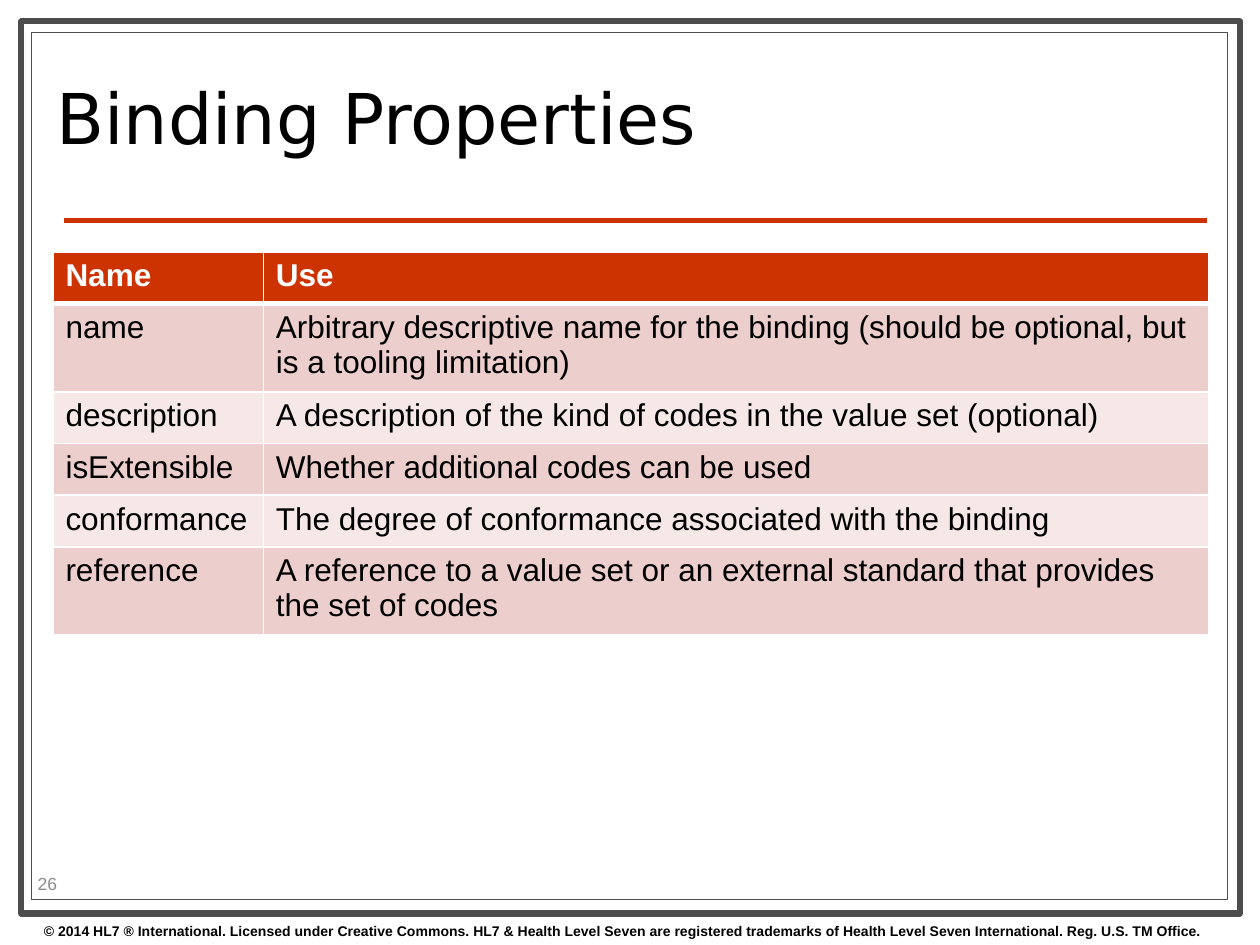
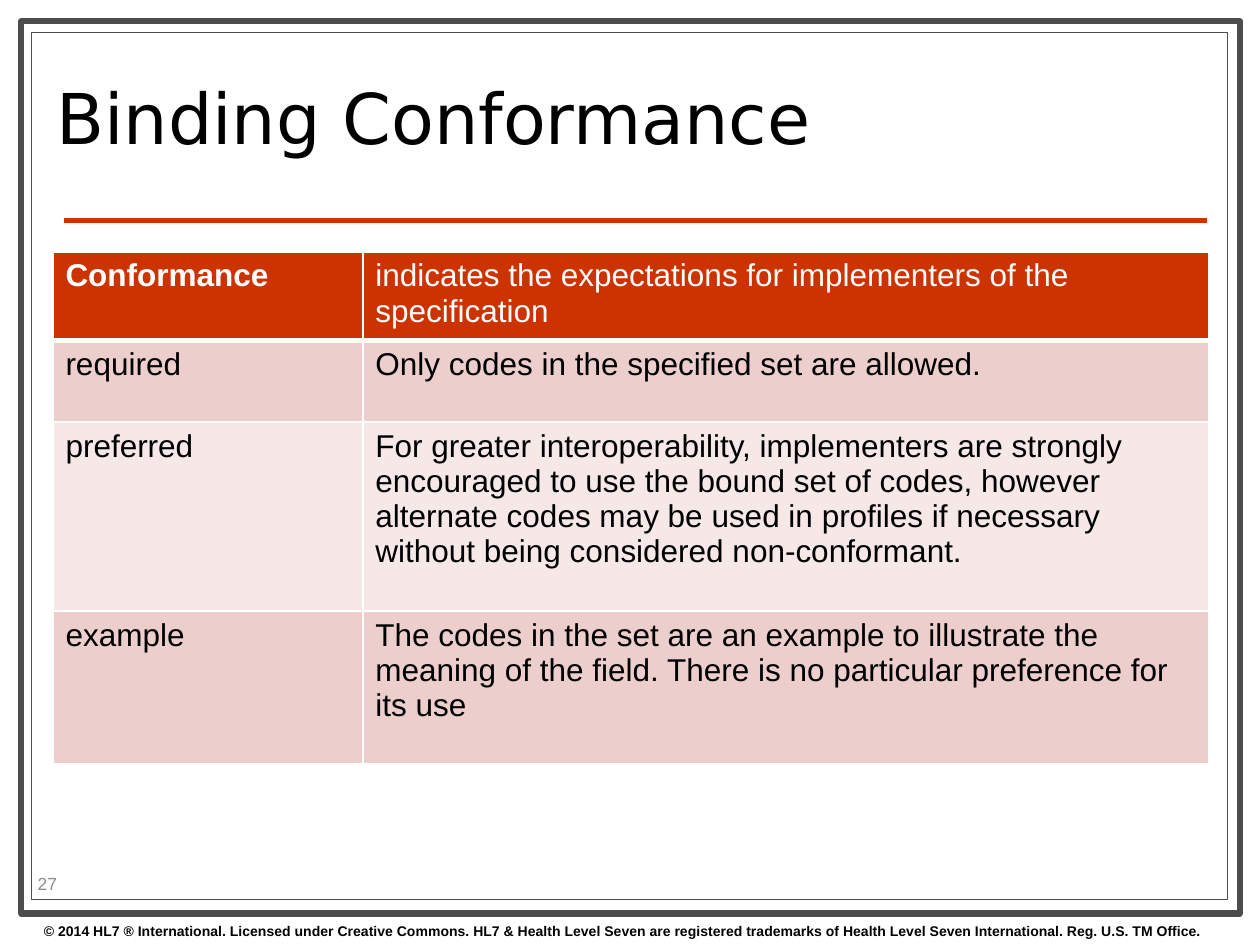
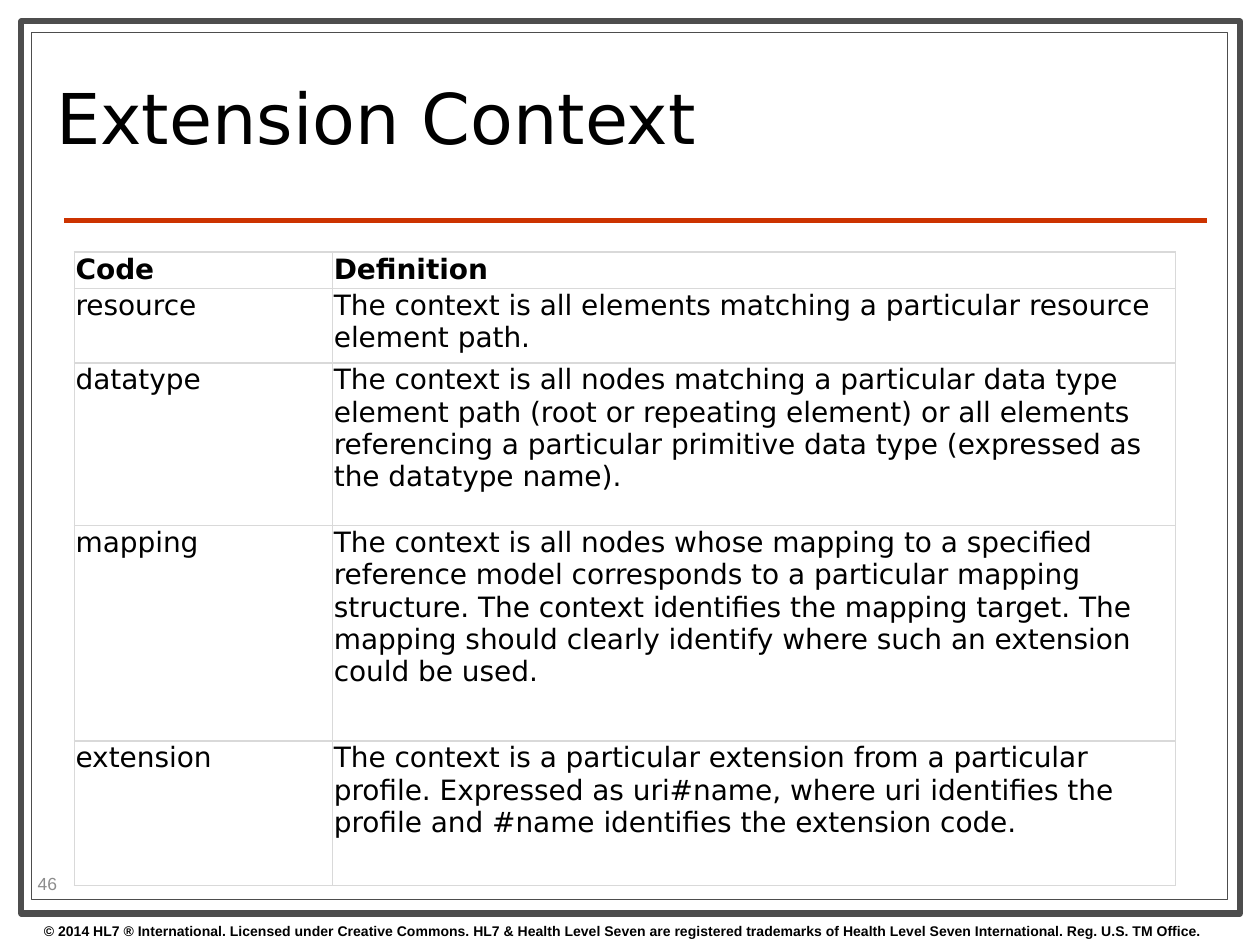
from lxml import etree
from pptx import Presentation
from pptx.dml.color import RGBColor
from pptx.enum.shapes import MSO_CONNECTOR, MSO_SHAPE
from pptx.enum.text import MSO_ANCHOR
from pptx.oxml.ns import qn
from pptx.util import Inches, Pt

RECTANGLE = MSO_SHAPE.RECTANGLE
STRAIGHT = MSO_CONNECTOR.STRAIGHT
TOP = MSO_ANCHOR.TOP
MIDDLE = MSO_ANCHOR.MIDDLE

COLOURS = {
    "white": "FFFFFF",
    "black": "000000",
    "frame": "4D4D4D",
    "accent": "CC3300",
    "band_dark": "ECCECC",
    "band_light": "F6E8E7",
    "grid": "D9D9D9",
    "page_number": "8C8C8C",
}
BODY_FONT = "Arial"
TITLE_FONT = "DejaVu Sans"
COPYRIGHT = (
    "© 2014 HL7 ® International. Licensed under Creative Commons. "
    "HL7 & Health Level Seven are registered trademarks of "
    "Health Level Seven International. Reg. U.S. TM Office."
)
FRAMES = [
    ((0.17, 0.17, 9.67, 7.08), 3.5),
    ((0.25, 0.26, 9.49, 6.88), 0.75),
]

BANDED = {
    "header_fill": "accent", "header_colour": "white",
    "bands": ["band_dark", "band_light"],
    "border": "white", "header_rule": 3,
    "font": BODY_FONT, "size": 18, "margins": (0.1, 0.05),
}
GRID = {
    "header_fill": "white", "header_colour": "black",
    "bands": ["white"],
    "border": "grid", "header_rule": 1,
    "font": TITLE_FONT, "size": 16, "margins": (0.01, 0.01),
}

SLIDES = [
    {
        "title": "Binding Properties", "number": "26", "style": BANDED,
        "left": 0.42, "columns": [1.67, 7.5],
        "heights": [0.41, 0.65, 0.41, 0.41, 0.41, 0.65],
        "bold_headers": [True, True],
        "rows": [
            ("Name", "Use"),
            ("name", "Arbitrary descriptive name for the binding (should be "
             "optional, but is a tooling limitation)"),
            ("description", "A description of the kind of codes in the value set (optional)"),
            ("isExtensible", "Whether additional codes can be used"),
            ("conformance", "The degree of conformance associated with the binding"),
            ("reference", "A reference to a value set or an external standard that "
             "provides the set of codes"),
        ],
    },
    {
        "title": "Binding Conformance", "number": "27", "style": BANDED,
        "left": 0.42, "columns": [2.46, 6.71],
        "heights": [0.66, 0.65, 1.5, 1.21],
        "bold_headers": [True, False],
        "rows": [
            ("Conformance", "indicates the expectations for implementers of the specification"),
            ("required", "Only codes in the specified set are allowed."),
            ("preferred", "For greater interoperability, implementers are strongly "
             "encouraged to use the bound set of codes, however alternate codes may "
             "be used in profiles if necessary without being considered non-conformant."),
            ("example", "The codes in the set are an example to illustrate the meaning "
             "of the field. There is no particular preference for its use"),
        ],
    },
    {
        "title": "Extension Context", "number": "46", "style": GRID,
        "left": 0.59, "columns": [2.05, 6.69],
        "heights": [0.29, 0.59, 1.29, 1.71, 1.15],
        "bold_headers": [True, True],
        "rows": [
            ("Code", "Definition"),
            ("resource", "The context is all elements matching a particular resource "
             "element path."),
            ("datatype", "The context is all nodes matching a particular data type "
             "element path (root or repeating element) or all elements referencing a "
             "particular primitive data type (expressed as the datatype name)."),
            ("mapping", "The context is all nodes whose mapping to a specified reference "
             "model corresponds to a particular mapping structure. The context identifies "
             "the mapping target. The mapping should clearly identify where such an "
             "extension could be used."),
            ("extension", "The context is a particular extension from a particular "
             "profile. Expressed as uri#name, where uri identifies the profile and #name "
             "identifies the extension code."),
        ],
    },
]


def write(text_frame, text, font, size, colour, bold=False):
    """Put one formatted run in the first paragraph and return the paragraph."""
    text_frame.word_wrap = True
    paragraph = text_frame.paragraphs[0]
    run = paragraph.add_run()
    run.text = text
    run.font.name = font
    run.font.size = Pt(size)
    run.font.bold = bold
    run.font.color.rgb = RGBColor.from_string(COLOURS[colour])
    return paragraph


def add_cell_border(cell, side, colour, width):
    properties = cell._tc.get_or_add_tcPr()
    line = etree.SubElement(properties, qn(f"a:ln{side}"), w=str(Pt(width)))
    fill = etree.SubElement(line, qn("a:solidFill"))
    etree.SubElement(fill, qn("a:srgbClr"), val=COLOURS[colour])


presentation = Presentation()
presentation.slide_width = Inches(10)
presentation.slide_height = Inches(7.5)
blank_layout = presentation.slide_layouts[6]

for content in SLIDES:
    slide = presentation.slides.add_slide(blank_layout)

    for box, line_width in FRAMES:
        frame = slide.shapes.add_shape(RECTANGLE, *map(Inches, box))
        frame.shadow.inherit = False
        frame.fill.solid()
        frame.fill.fore_color.rgb = RGBColor.from_string(COLOURS["white"])
        frame.line.color.rgb = RGBColor.from_string(COLOURS["frame"])
        frame.line.width = Pt(line_width)

    title_rule = slide.shapes.add_connector(
        STRAIGHT, Inches(0.51), Inches(1.75), Inches(9.58), Inches(1.75))
    title_rule.line.color.rgb = RGBColor.from_string(COLOURS["accent"])
    title_rule.line.width = Pt(3)
    etree.SubElement(title_rule._element.spPr, qn("a:effectLst"))

    labels = [
        ((0.25, 7.27, 10, 0.23), TOP, COPYRIGHT, BODY_FONT, 8, "black", True, 1),
        ((0.35, 0.36, 7.17, 1.26), MIDDLE, content["title"], TITLE_FONT, 40, "black", False, 0.8),
        ((0.2, 6.89, 0.79, 0.24), MIDDLE, content["number"], BODY_FONT, 10, "page_number", False, 1),
    ]
    for box, anchor, text, font, size, colour, bold, spacing in labels:
        text_frame = slide.shapes.add_textbox(*map(Inches, box)).text_frame
        text_frame.vertical_anchor = anchor
        paragraph = write(text_frame, text, font, size, colour, bold)
        paragraph.line_spacing = spacing

    style = content["style"]
    rows, columns, heights = content["rows"], content["columns"], content["heights"]
    table = slide.shapes.add_table(
        len(rows), len(columns), Inches(content["left"]), Inches(2),
        Inches(sum(columns)), Inches(sum(heights))).table
    table.horz_banding = False
    for column, width in zip(table.columns, columns):
        column.width = Inches(width)

    for row_index, (texts, height) in enumerate(zip(rows, heights)):
        table.rows[row_index].height = Inches(height)
        is_header = row_index == 0
        if is_header:
            fill, colour = style["header_fill"], style["header_colour"]
        else:
            fill = style["bands"][(row_index - 1) % len(style["bands"])]
            colour = "black"
        top_width = style["header_rule"] if row_index == 1 else 1
        bottom_width = style["header_rule"] if is_header else 1

        for column_index, text in enumerate(texts):
            cell = table.cell(row_index, column_index)
            for side, width in zip("LRTB", (1, 1, top_width, bottom_width)):
                add_cell_border(cell, side, style["border"], width)
            cell.fill.solid()
            cell.fill.fore_color.rgb = RGBColor.from_string(COLOURS[fill])
            horizontal, vertical = map(Inches, style["margins"])
            cell.margin_left = cell.margin_right = horizontal
            cell.margin_top = cell.margin_bottom = vertical
            bold = is_header and content["bold_headers"][column_index]
            write(cell.text_frame, text, style["font"], style["size"], colour, bold)

presentation.save("out.pptx")
